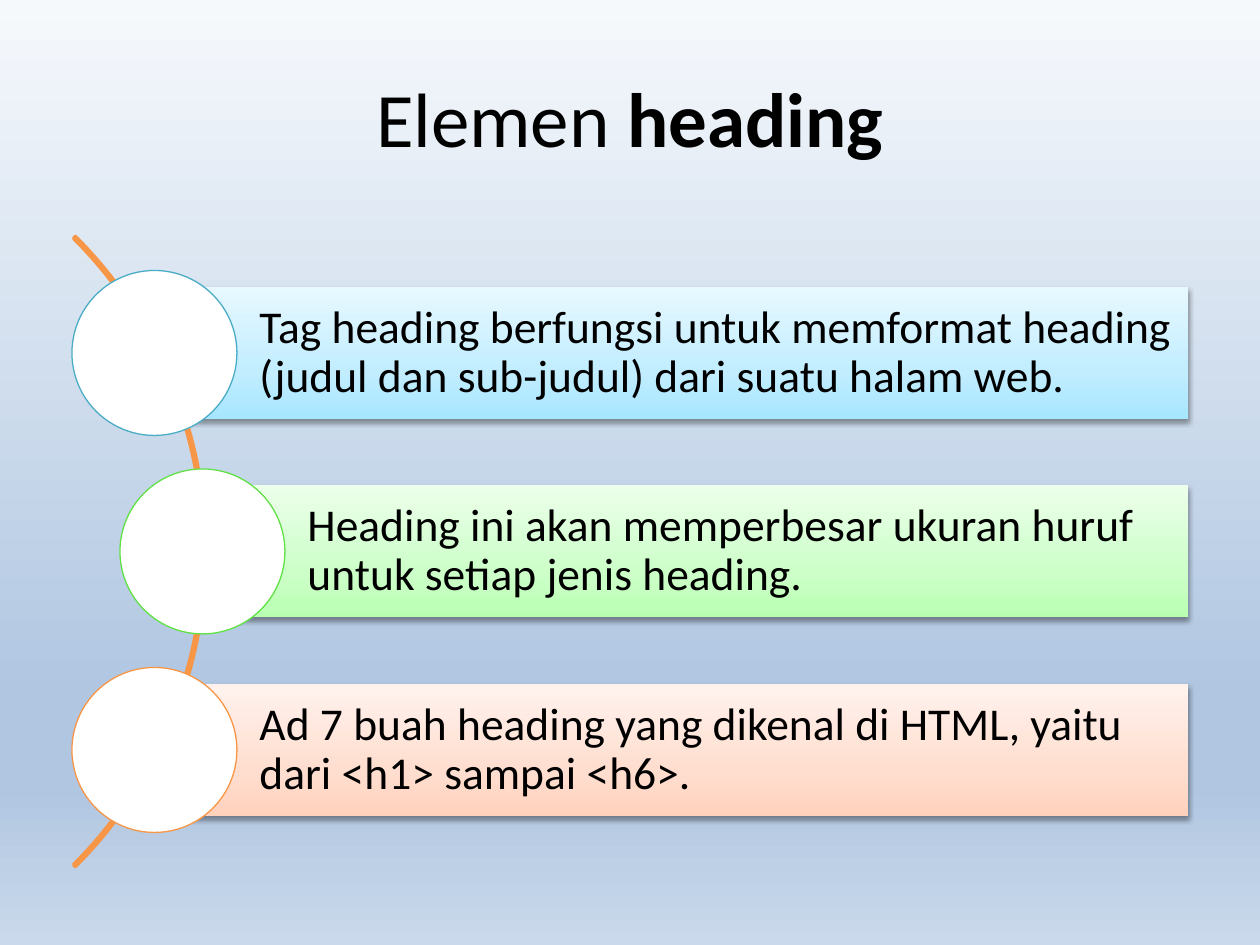
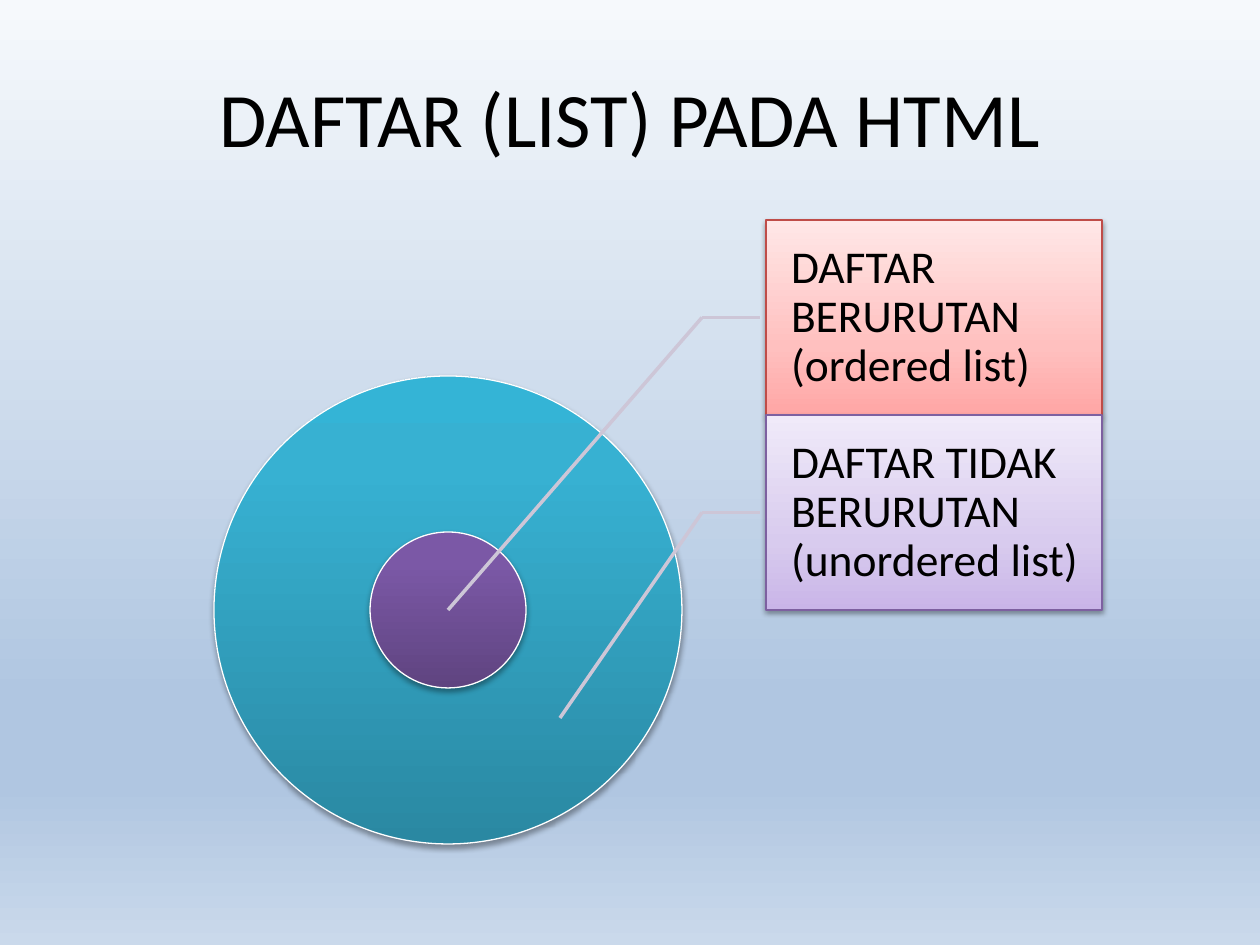
from lxml.etree import SubElement
from pptx import Presentation
from pptx.dml.color import RGBColor
from pptx.enum.shapes import MSO_CONNECTOR, MSO_SHAPE
from pptx.enum.text import MSO_ANCHOR, PP_ALIGN
from pptx.oxml.ns import qn
from pptx.util import Emu, Pt

FONT = "Calibri"
BLACK, WHITE = "000000", "FFFFFF"
ORANGE, LEADER = "F79646", "CDC6D7"
BACKGROUND = [(0, "F6F9FC"), (74, "B0C6E1"), (83, "B0C6E1"), (100, "CAD9EB")]
BAR_STOPS, DISC_STOPS = (0, 35, 100), (0, 80, 100)
ROWS = [
    ("Tag heading berfungsi untuk memformat heading (judul dan sub-judul) dari suatu halam web.",
     0, "4BACC6", ("A7E6FF", "C1EDFF", "E7F8FF")),
    ("Heading ini akan memperbesar ukuran huruf untuk setiap jenis heading.",
     48, "60E146", ("B9FFB2", "CDFFC9", "ECFFEA")),
    ("Ad 7 buah heading yang dikenal di HTML, yaitu dari <h1> sampai <h6>.",
     0, ORANGE, ("FFD2BD", "FFDED0", "FFF2ED")),
]
DISCS = [(468, ("2A88A2", "37B1D2", "34B4D6")), (156, ("5F4480", "7B58A6", "7C57A8"))]
LABELS = [
    ("DAFTAR BERURUTAN (ordered list)", "BF4C48", ("FFA6A5", "FFC0BF", "FFE7E7"), (234, 234)),
    ("DAFTAR TIDAK BERURUTAN (unordered list)", "7D60A0", ("C9B5E8", "D8CBEE", "F0EAF9"), (346, 342)),
]


def px(n):
    return Emu(round(n * 914400 / 126))


def rgb(value):
    return RGBColor.from_string(value)


def set_gradient(fill, root, stops, angle):
    fill.gradient()
    fill.gradient_angle = angle
    gs_list = root.find(".//" + qn("a:gsLst"))
    for gs in list(gs_list):
        gs_list.remove(gs)
    for pos, color in stops:
        gs = SubElement(gs_list, qn("a:gs"), pos=str(pos * 1000))
        SubElement(gs, qn("a:srgbClr"), val=color)


def add_shadow(sp, alpha, dist):
    effects = sp._element.spPr.find(qn("a:effectLst"))
    shadow = SubElement(effects, qn("a:outerShdw"), blurRad="40000", dist=str(dist),
                        dir="5400000", rotWithShape="0")
    color = SubElement(shadow, qn("a:srgbClr"), val=BLACK)
    SubElement(color, qn("a:alpha"), val=str(alpha * 1000))


def add_shape(slide, kind, x, y, w, h, line=None, width=0.75):
    sp = slide.shapes.add_shape(kind, px(x), px(y), px(w), px(h))
    sp.shadow.inherit = False
    if line:
        sp.line.color.rgb = rgb(line)
        sp.line.width = Pt(width)
    else:
        sp.line.fill.background()
    return sp


def add_circle(slide, cx, cy, size, line):
    return add_shape(slide, MSO_SHAPE.OVAL, cx - size / 2, cy - size / 2, size, size, line)


def format_runs(p, size):
    for r in p.runs:
        r.font.name = FONT
        r.font.size = Pt(size)
        r.font.color.rgb = rgb(BLACK)


def add_panel(slide, x, y, w, h, text, colors, indent, inset, line=None):
    sp = add_shape(slide, MSO_SHAPE.RECTANGLE, x, y, w, h, line)
    set_gradient(sp.fill, sp._element.spPr, zip(BAR_STOPS, colors), 90)
    add_shadow(sp, 38, 20000)
    tf = sp.text_frame
    tf.word_wrap = True
    tf.vertical_anchor = MSO_ANCHOR.MIDDLE
    tf.margin_left = px(indent)
    tf.margin_top = tf.margin_right = tf.margin_bottom = px(inset)
    p = tf.paragraphs[0]
    p.text = text
    p.alignment = PP_ALIGN.LEFT
    p.line_spacing = 0.9
    format_runs(p, 26)


def add_line(slide, start, end):
    cxn = slide.shapes.add_connector(MSO_CONNECTOR.STRAIGHT, *map(px, start + end))
    cxn.line.color.rgb = rgb(LEADER)
    cxn.line.width = Pt(2)
    SubElement(cxn._element.spPr, qn("a:effectLst"))


def add_titled_slide(prs, plain, bold=""):
    slide = prs.slides.add_slide(prs.slide_layouts[5])
    title = slide.shapes.title
    title.left, title.top, title.width, title.height = map(px, (63, 38, 1134, 158))
    tf = title.text_frame
    tf.vertical_anchor = MSO_ANCHOR.MIDDLE
    p = tf.paragraphs[0]
    p.text = plain
    p.alignment = PP_ALIGN.CENTER
    if bold:
        r = p.add_run()
        r.text = bold
        r.font.bold = True
    format_runs(p, 44)
    return slide


def add_curved_list(slide, x, y, w):
    bar_h, pitch, disc = 132, 198.5, 165
    arc = add_shape(slide, MSO_SHAPE.BLOCK_ARC, x - 757, y - 181, 891, 891, ORANGE, 2)
    arc.fill.background()
    for i, value in enumerate((189, 27, 0.003)):
        arc.adjustments[i] = value
    for i, (text, shift, accent, colors) in enumerate(ROWS):
        cx, top = x + shift + disc / 2, y + i * pitch
        add_panel(slide, cx, top, x + w - cx, bar_h, text, colors, 105, 9)
        circle = add_circle(slide, cx, top + bar_h / 2, disc, accent)
        circle.fill.solid()
        circle.fill.fore_color.rgb = rgb(WHITE)


def add_target_diagram(slide, x, y):
    label_x, label_w, label_h = x + 552, 336, 195
    cx, cy = x + 234, y + 390
    for size, colors in DISCS:
        disc = add_circle(slide, cx, cy, size, WHITE)
        set_gradient(disc.fill, disc._element.spPr, zip(DISC_STOPS, colors), 90)
        add_shadow(disc, 35, 23000)
    for i, (text, accent, colors, (dx, dy)) in enumerate(LABELS):
        top = y + i * label_h
        add_panel(slide, label_x, top, label_w, label_h, text, colors, 25, 5, accent)
        elbow = (label_x - 64, top + label_h / 2)
        target = (x + dx, cy + dy - 234)
        add_line(slide, elbow, (label_x - 6, elbow[1]))
        add_line(slide, elbow, target)


def main():
    prs = Presentation()
    prs.slide_width, prs.slide_height = px(1260), px(945)
    master = prs.slide_master
    set_gradient(master.background.fill, master._element, BACKGROUND, 270)
    add_curved_list(add_titled_slide(prs, "Elemen ", "heading"), 72, 287, 1116)
    add_target_diagram(add_titled_slide(prs, "DAFTAR (LIST) PADA HTML"), 214, 220)
    prs.save("out.pptx")


if __name__ == "__main__":
    main()
